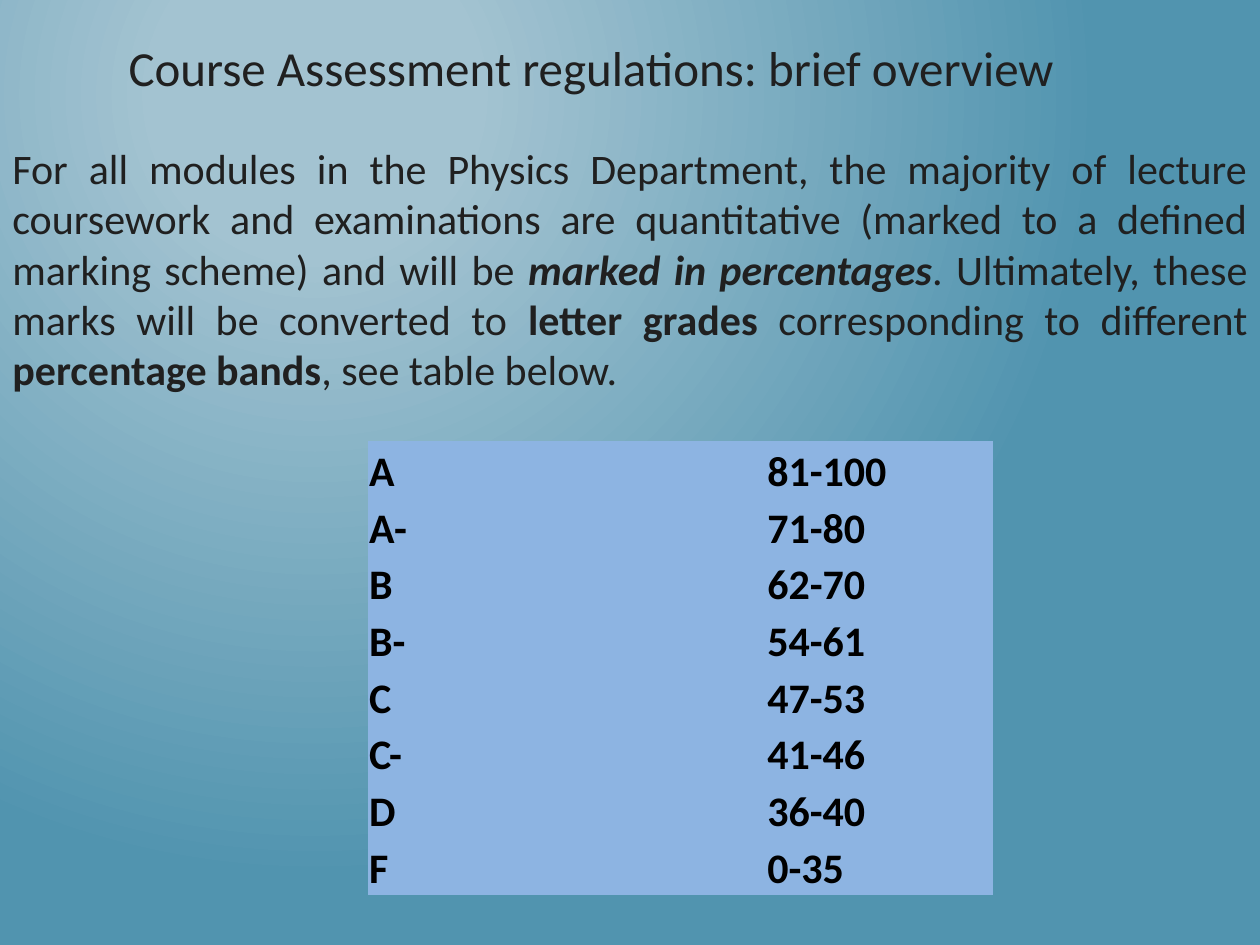
from pptx import Presentation
from pptx.dml.color import RGBColor
from pptx.enum.text import MSO_ANCHOR, MSO_AUTO_SIZE, PP_ALIGN
from pptx.oxml import parse_xml
from pptx.oxml.ns import nsdecls, qn
from pptx.util import Inches, Pt

COLORS = {"glow": "A3C3D1", "edge": "5194AF", "text": "202020",
          "grade": "000000", "cell": "8DB4E2"}
WIDTH, HEIGHT = Inches(10), Inches(7.5)
NO_GRID_STYLE = "{2D5ABB26-0587-4C30-8999-92F81FD0307C}"

TITLE = "Course Assessment regulations: brief overview"
OVERVIEW = [
    ("For all modules in the Physics Department, the majority of lecture "
     "coursework and examinations are quantitative (marked to a defined "
     "marking scheme) and will be ", {}),
    ("marked in percentages", {"bold": True, "italic": True}),
    (". Ultimately, these marks will be converted to ", {}),
    ("letter grades", {"bold": True}),
    (" corresponding to different ", {}),
    ("percentage bands", {"bold": True}),
    (", see table below.", {}),
]
GRADE_BANDS = [("A", "81-100"), ("A-", "71-80"), ("B", "62-70"), ("B-", "54-61"),
               ("C", "47-53"), ("C-", "41-46"), ("D", "36-40"), ("F", "0-35")]


def set_attributes(target, values):
    for name, value in values.items():
        setattr(target, name, value)


def add_run(paragraph, text, size, color="text", **formats):
    run = paragraph.add_run()
    run.text = text
    set_attributes(run.font, {"name": "Calibri", "size": Pt(size), **formats})
    run.font.color.rgb = RGBColor.from_string(COLORS[color])


def set_background(slide):
    """Fill the slide with a circular glow from the upper left."""
    slide.background.fill.gradient()
    default_fill = slide.element.find(".//" + qn("a:gradFill"))
    glow = parse_xml(
        f'<a:gradFill {nsdecls("a")} rotWithShape="1"><a:gsLst>'
        f'<a:gs pos="20000"><a:srgbClr val="{COLORS["glow"]}"/></a:gs>'
        f'<a:gs pos="100000"><a:srgbClr val="{COLORS["edge"]}"/></a:gs>'
        '</a:gsLst><a:path path="circle">'
        '<a:fillToRect l="50000" t="20000" r="100000" b="100000"/>'
        '</a:path></a:gradFill>')
    default_fill.getparent().replace(default_fill, glow)


def set_title(slide):
    title = slide.shapes.title
    set_attributes(title, {"left": Inches(0.92), "top": Inches(0.25),
                           "width": Inches(8.5), "height": Inches(0.57)})
    set_attributes(title.text_frame, {"vertical_anchor": MSO_ANCHOR.TOP,
                                      "word_wrap": True,
                                      "auto_size": MSO_AUTO_SIZE.NONE})
    paragraph = title.text_frame.paragraphs[0]
    paragraph.alignment = PP_ALIGN.LEFT
    add_run(paragraph, TITLE, 28)


def add_overview(slide):
    box = slide.shapes.add_textbox(0, Inches(1.08), WIDTH, Inches(2.12))
    box.text_frame.word_wrap = True
    paragraph = box.text_frame.paragraphs[0]
    paragraph.alignment = PP_ALIGN.JUSTIFY
    for text, formats in OVERVIEW:
        add_run(paragraph, text, 24, **formats)


def fill_cell(cell, text):
    inset = Inches(0.01)
    set_attributes(cell, {"vertical_anchor": MSO_ANCHOR.BOTTOM,
                          "margin_left": inset, "margin_right": inset,
                          "margin_top": inset, "margin_bottom": 0})
    cell.fill.solid()
    cell.fill.fore_color.rgb = RGBColor.from_string(COLORS["cell"])
    add_run(cell.text_frame.paragraphs[0], text, 24, "grade", bold=True)


def add_grade_table(slide):
    column_widths = [Inches(3.16), Inches(1.8)]
    row_height = Inches(0.45)
    frame = slide.shapes.add_table(
        len(GRADE_BANDS), len(column_widths), Inches(2.92), Inches(3.5),
        sum(column_widths), row_height * len(GRADE_BANDS))
    table = frame.table
    set_attributes(table, {"first_row": False, "horz_banding": False})
    frame.element.find(".//" + qn("a:tableStyleId")).text = NO_GRID_STYLE
    for column, width in zip(table.columns, column_widths):
        column.width = width
    for row, band in zip(table.rows, GRADE_BANDS):
        for cell, text in zip(row.cells, band):
            fill_cell(cell, text)


def main():
    presentation = Presentation()
    set_attributes(presentation, {"slide_width": WIDTH, "slide_height": HEIGHT})
    slide = presentation.slides.add_slide(presentation.slide_layouts[5])
    set_background(slide)
    set_title(slide)
    add_overview(slide)
    add_grade_table(slide)
    presentation.save("out.pptx")


if __name__ == "__main__":
    main()
